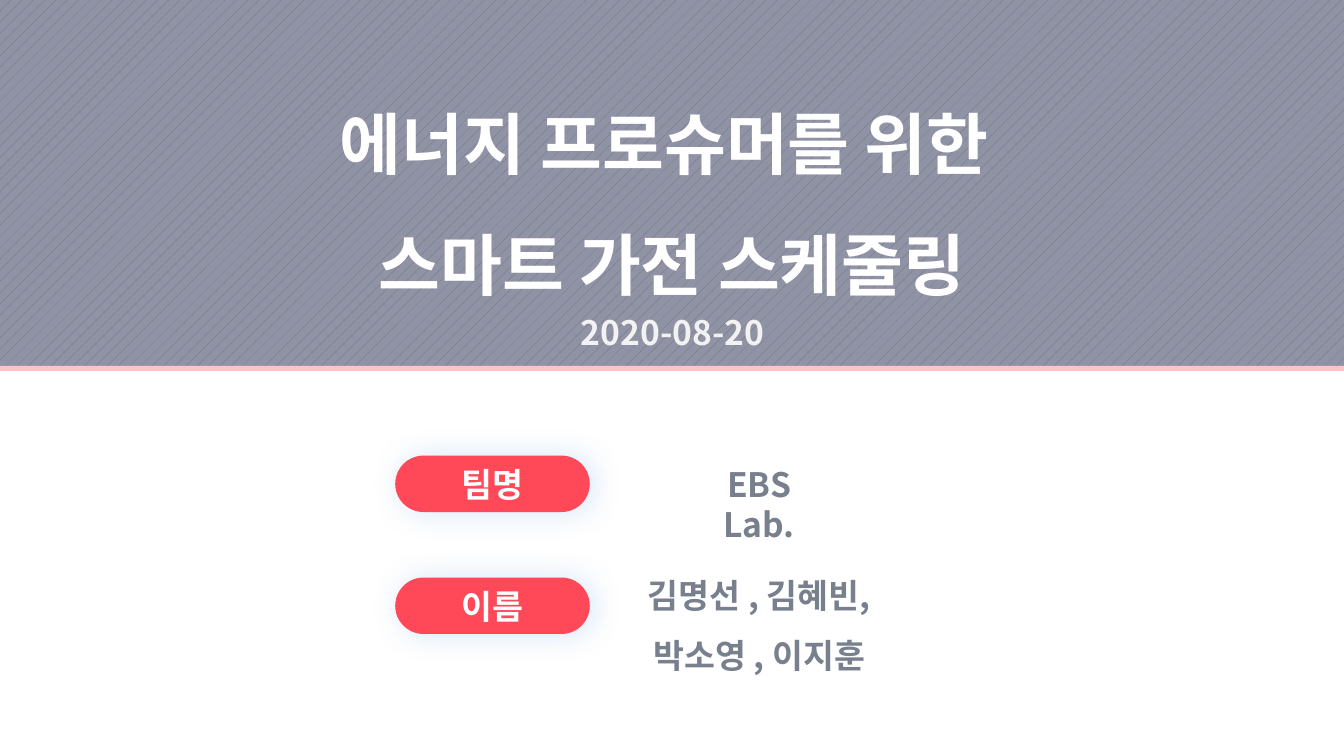
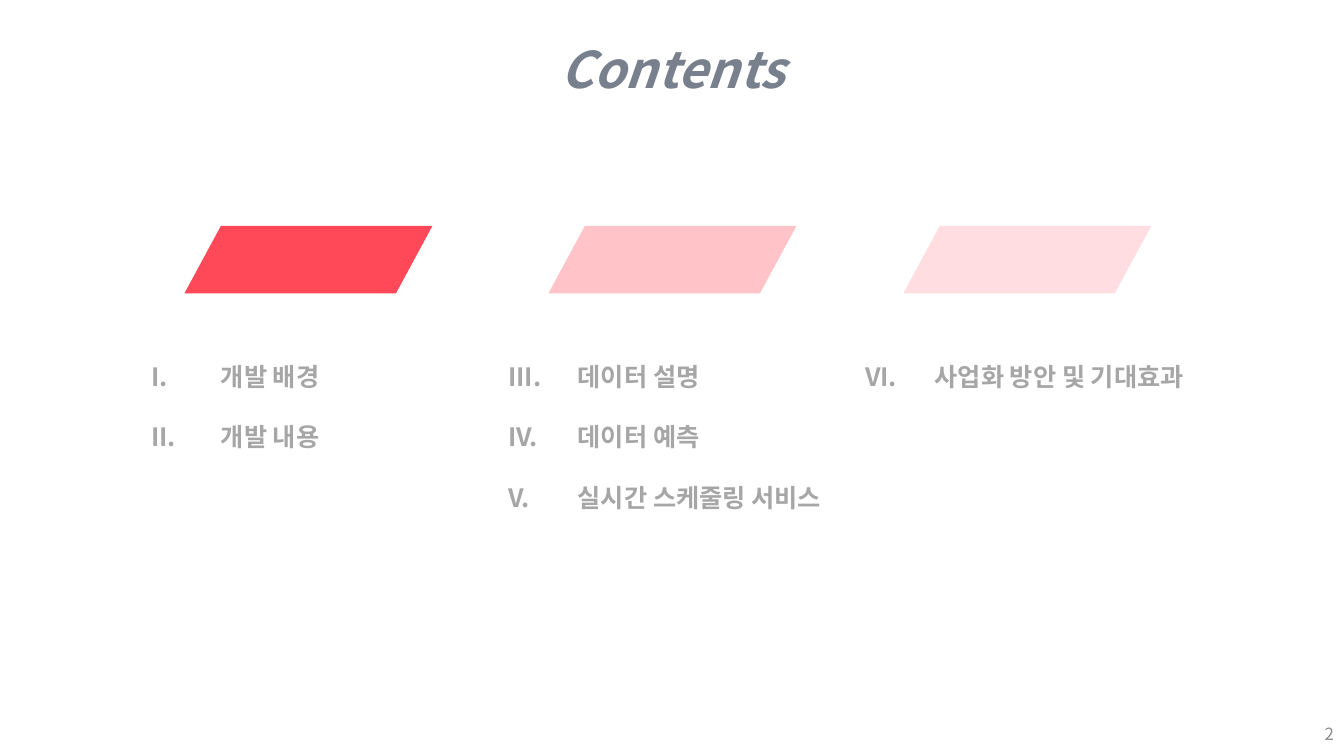
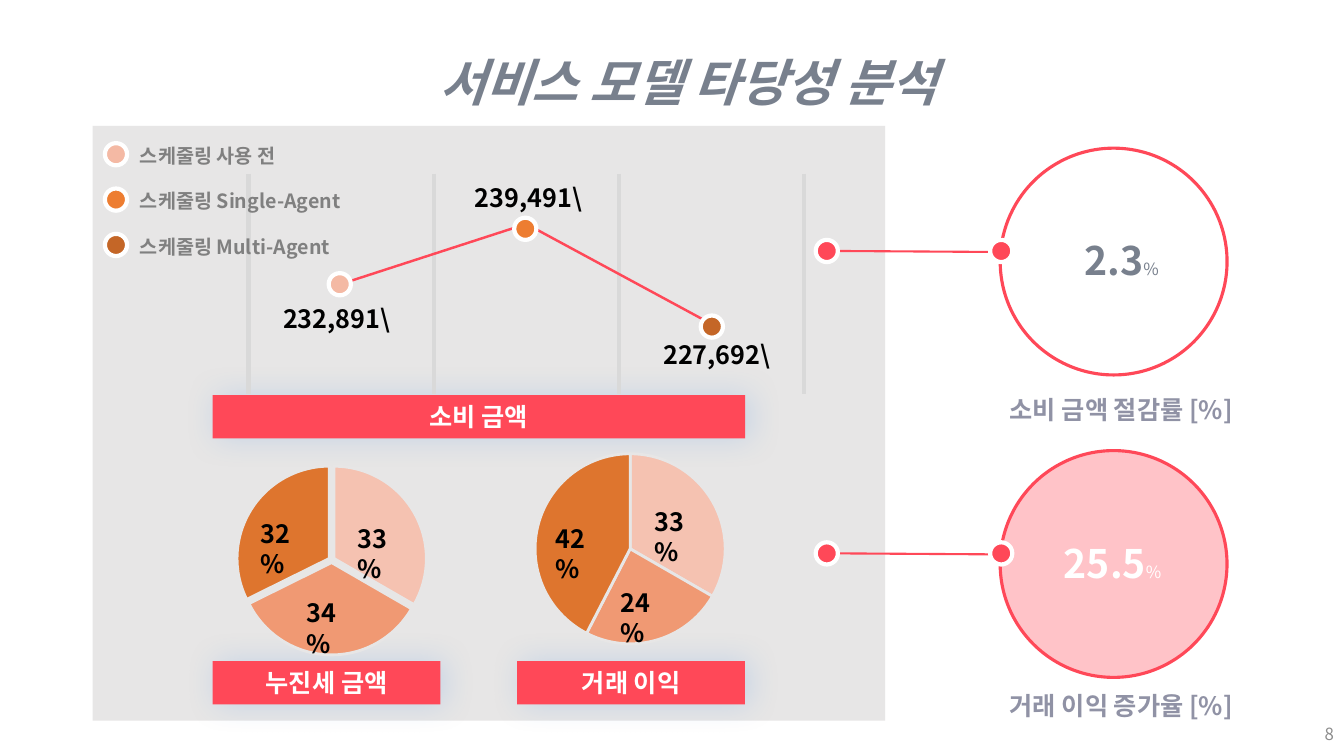
import dataclasses

import pptx
import pptx.chart.data
import pptx.dml.color
import pptx.enum.chart
import pptx.enum.dml
import pptx.enum.shapes
import pptx.enum.text
import pptx.oxml
import pptx.oxml.ns
import pptx.util

SHAPE = pptx.enum.shapes.MSO_SHAPE
ALIGN = pptx.enum.text.PP_ALIGN
ANCHOR = pptx.enum.text.MSO_ANCHOR
CHART = pptx.enum.chart.XL_CHART_TYPE
Pt = pptx.util.Pt
qn = pptx.oxml.ns.qn


@dataclasses.dataclass(frozen=True)
class Theme:
    font: str = "Noto Sans CJK KR"
    # Colours
    white: str = "FFFFFF"
    black: str = "000000"
    red: str = "FF4858"
    pink: str = "FFC3C8"
    blush: str = "FFDDE0"
    slate: str = "78808D"
    haze: str = "9092A5"
    stripe: str = "687267"
    panel: str = "E7E6E6"
    grid: str = "D9D9D9"
    pale: str = "F2F2F2"
    list: str = "A6A6A6"
    legend: str = "808080"
    page: str = "8C8C8C"
    glow: str = "1A73DE"
    mark: str = "5B9BD5"
    dots: tuple = ("F4B9A4", "ED7D31", "C46627")
    slices: tuple = ("F5C2B1", "F09973", "DE752E")
    # Type sizes
    cover: int = 48
    title: int = 36
    figure: int = 28
    large: int = 24
    text: int = 18
    small: int = 14
    note: int = 12
    chart: int = 10


T = Theme()


# Basic helpers
def px(n):
    """100 px to the inch."""
    return pptx.util.Emu(n * 9144)


def rgb(code):
    return pptx.dml.color.RGBColor.from_string(code)


def node(root, tag, **attrs):
    child = root.makeelement(qn(tag), {k: str(v) for k, v in attrs.items()})
    root.append(child)
    return child


def place(shape, box):
    shape.left, shape.top, shape.width, shape.height = map(px, box)


def write(frame, lines, size, color, bold=True, slant=False,
          align=ALIGN.CENTER, space=1.0, anchor=ANCHOR.TOP):
    """Each line is a list of runs: a string, or (string, size, bold)."""
    frame.word_wrap = True
    frame.auto_size = pptx.enum.text.MSO_AUTO_SIZE.NONE
    frame.vertical_anchor = anchor
    for i, line in enumerate(lines):
        para = frame.paragraphs[0] if i == 0 else frame.add_paragraph()
        para.alignment = align
        para.line_spacing = space
        para.space_before = Pt(0)
        for part in line:
            words, pts, heavy = (part, size, bold) if isinstance(part, str) else part
            run = para.add_run()
            run.text = words
            font = run.font
            font.size, font.bold, font.italic = Pt(pts), heavy, slant
            font.color.rgb = rgb(color)
            font.name = T.font
            node(run._r.get_or_add_rPr(), "a:ea", typeface=T.font)


# Slide parts
def label(slide, box, lines, size, color, **style):
    frame = slide.shapes.add_textbox(*map(px, box)).text_frame
    write(frame, lines, size, color, **style)


def head(slide, box, words):
    title = slide.shapes.title
    place(title, box)
    write(title.text_frame, [[words]], T.title, T.slate, slant=True, space=1.5)
    return title


def page(slide, number):
    label(slide, (1033, 708, 300, 40), [[number]], T.note, T.page,
          bold=False, align=ALIGN.RIGHT, anchor=ANCHOR.MIDDLE)


def block(slide, kind, box, fill=None, line=None, width=1, adjust=()):
    shape = slide.shapes.add_shape(kind, *map(px, box))
    shape.shadow.inherit = False
    for i, value in enumerate(adjust):
        shape.adjustments[i] = value
    if fill:
        shape.fill.solid()
        shape.fill.fore_color.rgb = rgb(fill)
    else:
        shape.fill.background()
    if line:
        shape.line.color.rgb = rgb(line)
        shape.line.width = Pt(width)
    else:
        shape.line.fill.background()
    return shape


def tag(slide, kind, box, words, size, adjust=()):
    """Red label with a soft blue glow."""
    shape = block(slide, kind, box, T.red, adjust=adjust)
    effects = shape._element.spPr.find(qn("a:effectLst"))
    glow = node(effects, "a:outerShdw", blurRad=Pt(23), dist=Pt(3), dir=0,
                algn="ctr", rotWithShape=0)
    node(node(glow, "a:srgbClr", val=T.glow), "a:alpha", val=17000)
    write(shape.text_frame, [[words]], size, T.white, anchor=ANCHOR.MIDDLE)


def dot(slide, left, top, fill):
    block(slide, SHAPE.OVAL, (left, top, 22, 22), fill, T.white, 3)


def link(slide, start, end):
    line = slide.shapes.add_connector(
        pptx.enum.shapes.MSO_CONNECTOR.STRAIGHT, *map(px, start + end))
    line.line.color.rgb = rgb(T.red)
    line.line.width = Pt(1.5)
    node(line._element.spPr, "a:effectLst")


def ring(slide, top, value, left, color, start, fill=None):
    """Circled percentage, tied to the panel by a line with two dots."""
    box = (992, top, 225, 225)
    if fill:
        block(slide, SHAPE.OVAL, box, fill)
    arc = block(slide, SHAPE.ARC, box, None, T.red, 2.25, (start, 110.78))
    node(arc.line._get_or_add_ln(), "a:tailEnd", type="oval")
    label(slide, (left, top + 83, 175, 57),
          [[value, ("%", T.note, False)]], T.figure, color)
    link(slide, (831, top + 102), (992, top + 103))
    for x in (982, 809):
        dot(slide, x, top + 91, T.red)


# Charts
def graph(slide, kind, box, values, area):
    data = pptx.chart.data.CategoryChartData()
    data.categories = ["1", "2", "3"]
    data.add_series("Series 1", values)
    chart = slide.shapes.add_chart(kind, *map(px, box), data).chart
    chart.has_title = chart.has_legend = False
    chart.font.name, chart.font.size = T.font, Pt(T.chart)
    chart.font.color.rgb = rgb(T.black)
    plot = chart.plots[0]
    plot.vary_by_categories = False
    # Fixed plot area, as fractions of the chart
    root = plot._element.getparent()
    old = root.find(qn("c:layout"))
    if old is not None:
        root.remove(old)
    layout = root.makeelement(qn("c:layout"), {})
    root.insert(0, layout)
    manual = node(layout, "c:manualLayout")
    node(manual, "c:layoutTarget", val="inner")
    for name in ("xMode", "yMode"):
        node(manual, "c:" + name, val="edge")
    for name, part in zip("xywh", area):
        node(manual, "c:" + name, val=part)
    return chart, plot.series[0]


def trend(slide, box, values):
    chart, series = graph(slide, CHART.LINE_MARKERS, box, values,
                          (0.02, 0.02, 0.96, 0.95))
    series.smooth = False
    series.format.line.color.rgb = rgb(T.red)
    series.format.line.width = Pt(1.75)
    series.marker.style = pptx.enum.chart.XL_MARKER_STYLE.DIAMOND
    series.marker.size = 6
    series.marker.format.fill.solid()
    series.marker.format.fill.fore_color.rgb = rgb(T.mark)
    scale, base = chart.value_axis, chart.category_axis
    scale.minimum_scale, scale.maximum_scale = 91.5, 102.5
    scale.has_major_gridlines = False
    base.has_major_gridlines = True
    base.major_gridlines.format.line.color.rgb = rgb(T.grid)
    base.major_gridlines.format.line.width = Pt(3)
    scale.visible = base.visible = False


def pie(slide, box, values, gap=0):
    series = graph(slide, CHART.PIE, box, values, (0.09, 0.06, 0.82, 0.88))[1]
    for i, color in enumerate(T.slices):
        look = series.points[i].format
        look.fill.solid()
        look.fill.fore_color.rgb = rgb(color)
        look.line.color.rgb = rgb(T.panel)
        look.line.width = Pt(2)
    if gap:
        burst = node(series._element, "c:explosion", val=gap)
        series._element.find(qn("c:dPt")).addprevious(burst)


# Slides
def cover(deck):
    slide = deck.slides.add_slide(deck.slide_layouts[5])
    band = slide.shapes.title
    place(band, (0, 0, 1333, 363))
    band.fill.patterned()
    band.fill.pattern = pptx.enum.dml.MSO_PATTERN.PERCENT_10
    band.fill.fore_color.rgb = rgb(T.stripe)
    band.fill.back_color.rgb = rgb(T.haze)
    write(band.text_frame, [["에너지 프로슈머를 위한 "], ["스마트 가전 스케줄링"]],
          T.cover, T.white, space=1.5, anchor=ANCHOR.MIDDLE)
    block(slide, SHAPE.RECTANGLE, (0, 363, 1333, 5), T.pink)
    label(slide, (565, 305, 204, 50), [["2020-08-20"]], T.large, T.pale)
    for top, words in ((452, "팀명"), (573, "이름")):
        tag(slide, SHAPE.ROUNDED_RECTANGLE, (392, top, 193, 56), words, T.large, (0.5,))
    label(slide, (675, 455, 156, 50), [["EBS Lab."]], T.large, T.slate)
    label(slide, (613, 545, 280, 131), [["김명선 , 김혜빈,"], ["박소영 , 이지훈"]],
          T.large, T.slate, space=1.5)


def agenda(deck):
    slide = deck.slides.add_slide(deck.slide_layouts[4])
    title = head(slide, (523, 3, 288, 101), "Contents")
    title.fill.solid()
    title.fill.fore_color.rgb = rgb(T.white)
    parts = (
        (183, T.red, ["개발 배경", "개발 내용"]),
        (544, T.pink, ["데이터 설명", "데이터 예측", "실시간 스케줄링 서비스"]),
        (896, T.blush, ["사업화 방안 및 기대효과"]),
    )
    first = 1
    bodies = list(slide.placeholders)[1:]
    for i, (left, color, items) in enumerate(parts):
        block(slide, SHAPE.PARALLELOGRAM, (left, 224, 246, 67), color, adjust=(0.54,))
        body = bodies[i]
        place(body, (140 + 354 * i, 323, 354, 200))
        write(body.text_frame, [[item] for item in items], T.text, T.list,
              align=ALIGN.LEFT, space=2.0)
        # Roman numbers run on from column to column
        for para in body.text_frame.paragraphs:
            props = para._p.get_or_add_pPr()
            props.set("marL", str(px(69)))
            props.set("indent", str(px(-69)))
            node(props, "a:buFont", typeface=T.font)
            node(props, "a:buAutoNum", type="romanUcPeriod", startAt=first)
        first += len(items)
    for spare in bodies[len(parts):]:
        spare._element.getparent().remove(spare._element)
    page(slide, "2")


def study(deck):
    slide = deck.slides.add_slide(deck.slide_layouts[5])
    head(slide, (289, 16, 787, 89), "서비스 모델 타당성 분석")

    # Panel with charts and their tags
    block(slide, SHAPE.RECTANGLE, (92, 125, 786, 590), T.panel)
    for left, top, width, words in (
            (211, 392, 528, "소비 금액"),
            (211, 656, 226, "누진세 금액"),
            (513, 656, 226, "거래 이익")):
        tag(slide, SHAPE.RECTANGLE, (left, top, width, 43), words, T.text)
    trend(slide, (235, 168, 574, 230), (97, 100, 95))
    pie(slide, (510, 436, 230, 217), (33, 24, 42))
    pie(slide, (214, 447, 230, 217), (33, 34, 32), gap=3)

    # Points of the trend, and the legend
    for color, spot in zip(T.dots, ((326, 271), (510, 216), (695, 313))):
        dot(slide, *spot, color)
    names = ("스케줄링 사용 전", "스케줄링 Single-Agent", "스케줄링 Multi-Agent")
    for i, (color, name) in enumerate(zip(T.dots, names)):
        top = 142 + 45 * i
        dot(slide, 104, top, color)
        label(slide, (129, top - 4, 240, 34), [[name]], T.small, T.legend,
              align=ALIGN.LEFT)

    # Chart values
    for left, top, width, words in (
            (271, 296, 133, "232,891\\"),
            (461, 176, 133, "239,491\\"),
            (648, 332, 133, "227,692\\"),
            (345, 514, 71, "33%"),
            (294, 588, 71, "34%"),
            (249, 509, 71, "32%"),
            (639, 497, 71, "33%"),
            (606, 578, 71, "24%"),
            (541, 514, 71, "42%")):
        label(slide, (left, top, width, 40), [[words]], T.text, T.black,
              align=ALIGN.LEFT)

    # Rates
    ring(slide, 147, "2.3", 1025, T.slate, 112.29)
    ring(slide, 447, "25.5", 1016, T.white, 110.99, T.pink)
    for top, words in ((371, "소비 금액 절감률 [%]"), (665, "거래 이익 증가율 [%]")):
        label(slide, (962, top, 300, 56), [[words]], T.text, T.haze, space=1.5)
    page(slide, "8")


def main():
    deck = pptx.Presentation()
    deck.slide_width, deck.slide_height = px(1333), px(750)
    cover(deck)
    agenda(deck)
    study(deck)
    deck.save("out.pptx")


if __name__ == "__main__":
    main()
